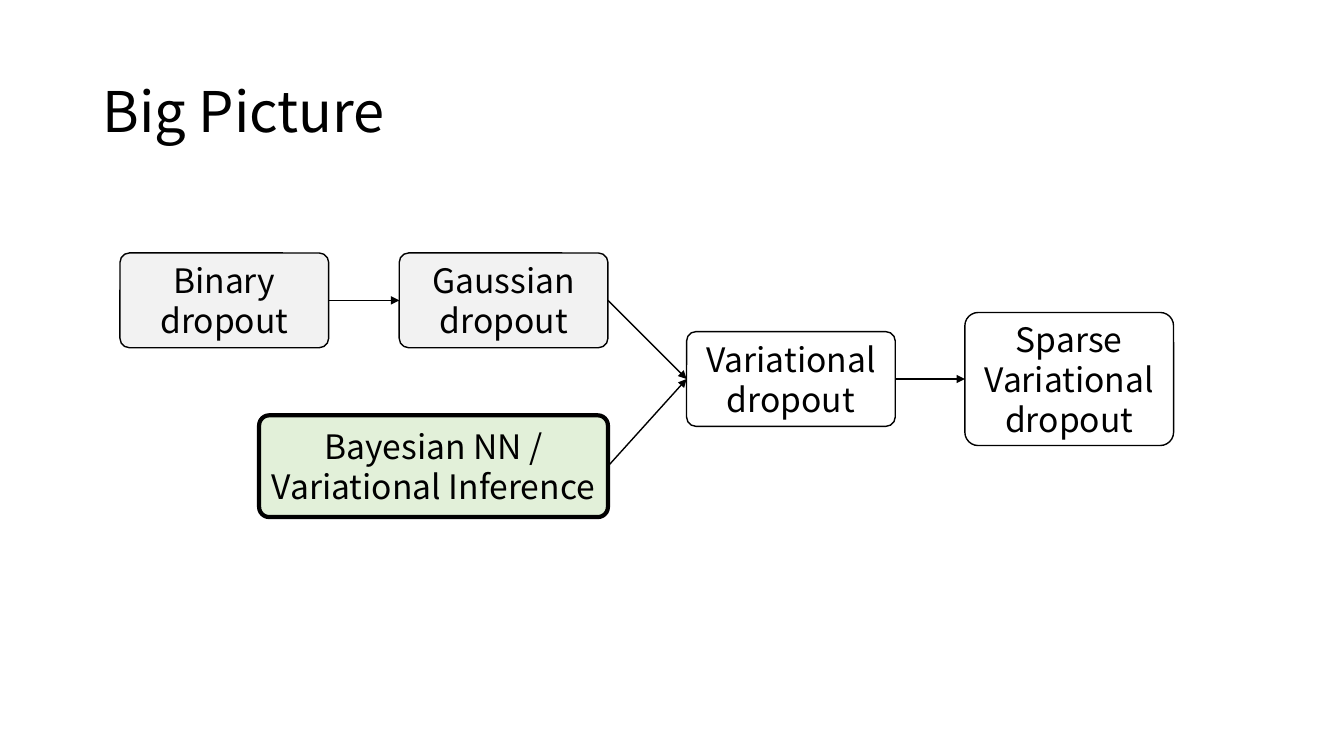
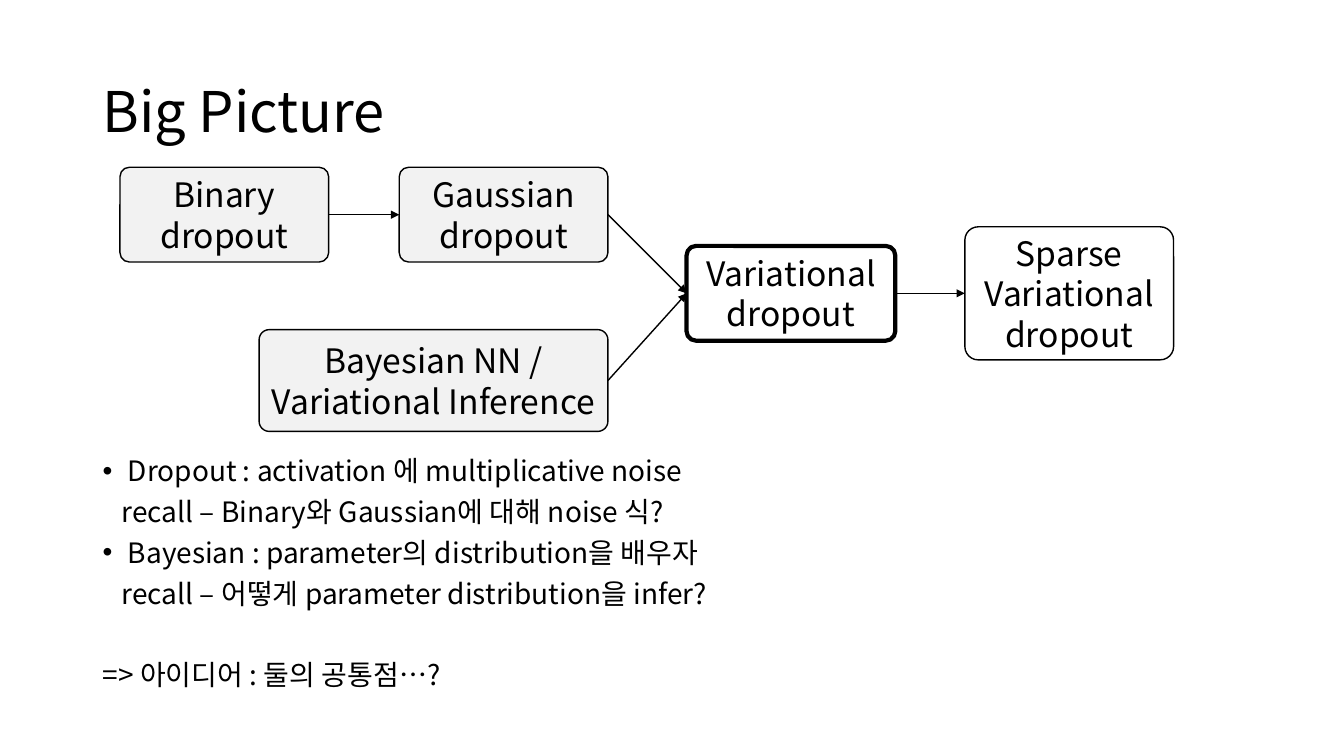
from dataclasses import dataclass

import pptx
import pptx.dml.color
import pptx.enum.shapes
import pptx.enum.text
import pptx.oxml
import pptx.oxml.ns
import pptx.presentation
import pptx.shapes.autoshape
import pptx.shapes.connector
import pptx.slide
import pptx.text.text
import pptx.util
from lxml import etree

EMU_PER_PX = 9144  # 100 px to the inch
FONT = "Noto Sans CJK KR"
BLACK, WHITE, GRAY, GREEN = "000000", "FFFFFF", "F2F2F2", "E2F0D9"
LEADING = 1.2
LEFT_SITE, RIGHT_SITE = 1, 3
ANCHOR = pptx.enum.text.MSO_ANCHOR
ALIGN = pptx.enum.text.PP_ALIGN


@dataclass(frozen=True)
class Node:
    """A box of the diagram; dy counts from the diagram's top."""
    lines: tuple[str, ...]
    x: int
    dy: int
    w: int = 207
    h: int = 94


@dataclass(frozen=True)
class Bullet:
    text: str
    indent: int = 0
    marked: bool = False
    before: int = 10


@dataclass(frozen=True)
class Page:
    top: int
    fills: dict[str, str]
    active: str
    bullets: tuple[Bullet, ...] = ()


NODES = {
    "binary": Node(("Binary", "dropout"), 119, 0),
    "gaussian": Node(("Gaussian", "dropout"), 396, 0),
    "variational": Node(("Variational", "dropout"), 681, 78),
    "bayesian": Node(("Bayesian NN /", "Variational Inference"), 257, 161, 346, 101),
    "sparse": Node(("Sparse", "Variational", "dropout"), 957, 59, h=132),
}
ARROWS = (
    ("binary", "gaussian"),
    ("gaussian", "variational"),
    ("bayesian", "variational"),
    ("variational", "sparse"),
)
PAGES = (
    Page(251, {"binary": GRAY, "gaussian": GRAY, "bayesian": GREEN}, "bayesian"),
    Page(166, {"binary": GRAY, "gaussian": GRAY, "bayesian": GRAY}, "variational", (
        Bullet("Dropout : activation 에 multiplicative noise", 25, True),
        Bullet("recall – Binary와 Gaussian에 대해 noise 식?", 19),
        Bullet("Bayesian : parameter의 distribution을 배우자", 25, True),
        Bullet("recall – 어떻게 parameter distribution을 infer?", 19),
        Bullet("=> 아이디어 : 둘의 공통점…?", before=39),
    )),
)


def px(n: int) -> pptx.util.Emu:
    return pptx.util.Emu(n * EMU_PER_PX)


def rgb(color: str) -> pptx.dml.color.RGBColor:
    return pptx.dml.color.RGBColor.from_string(color)


def add_paragraph(tf: pptx.text.text.TextFrame, text: str, size: int,
                  spacing: float = 1.0) -> pptx.text.text._Paragraph:
    """Fill the frame's empty first paragraph, or append a new one."""
    first = tf.paragraphs[0]
    p = tf.add_paragraph() if first.runs else first
    p.line_spacing = pptx.util.Pt(round(size * LEADING * spacing, 1))
    r = p.add_run()
    r.text = text
    r.font.size = pptx.util.Pt(size)
    r.font.name = FONT
    r.font.color.rgb = rgb(BLACK)
    ea = etree.SubElement(r.font._element, pptx.oxml.ns.qn("a:ea"))
    ea.set("typeface", FONT)
    return p


def add_text_frame(slide: pptx.slide.Slide, x: int, y: int, w: int, h: int,
                   anchor: ANCHOR) -> pptx.text.text.TextFrame:
    tf = slide.shapes.add_textbox(px(x), px(y), px(w), px(h)).text_frame
    tf.word_wrap = True
    tf.vertical_anchor = anchor
    return tf


def add_title(slide: pptx.slide.Slide, text: str) -> None:
    tf = add_text_frame(slide, 92, 40, 1150, 145, ANCHOR.MIDDLE)
    add_paragraph(tf, text, 40, 0.9)


def add_node(slide: pptx.slide.Slide, node: Node, top: int, fill: str | None,
             active: bool) -> pptx.shapes.autoshape.Shape:
    sp = slide.shapes.add_shape(
        pptx.enum.shapes.MSO_SHAPE.ROUNDED_RECTANGLE,
        px(node.x), px(top + node.dy), px(node.w), px(node.h))
    sp.adjustments[0] = 0.1
    sp.shadow.inherit = False
    if fill:
        sp.fill.solid()
        sp.fill.fore_color.rgb = rgb(fill)
    else:
        sp.fill.background()
    sp.line.color.rgb = rgb(BLACK)
    sp.line.width = pptx.util.Pt(3 if active else 1)
    tf = sp.text_frame
    tf.word_wrap = True
    tf.margin_left = tf.margin_right = 0
    tf.vertical_anchor = ANCHOR.MIDDLE
    for line in node.lines:
        add_paragraph(tf, line, 24).alignment = ALIGN.CENTER
    return sp


def add_arrow(slide: pptx.slide.Slide, start: pptx.shapes.autoshape.Shape,
              end: pptx.shapes.autoshape.Shape) -> pptx.shapes.connector.Connector:
    cx = slide.shapes.add_connector(
        pptx.enum.shapes.MSO_CONNECTOR.STRAIGHT, 0, 0, 0, 0)
    cx.begin_connect(start, RIGHT_SITE)
    cx.end_connect(end, LEFT_SITE)
    cx.line.color.rgb = rgb(BLACK)
    cx.line.width = pptx.util.Pt(1)
    ln = cx.line._get_or_add_ln()
    etree.SubElement(ln, pptx.oxml.ns.qn("a:tailEnd")).set("type", "triangle")
    etree.SubElement(cx._element.spPr, pptx.oxml.ns.qn("a:effectLst"))
    return cx


def add_bullets(slide: pptx.slide.Slide, bullets: tuple[Bullet, ...]) -> None:
    tf = add_text_frame(slide, 92, 452, 1239, 257, ANCHOR.TOP)
    for bullet in bullets:
        p = add_paragraph(tf, bullet.text, 20, 0.8)
        p.space_before = pptx.util.Pt(bullet.before)
        pPr = p._p.get_or_add_pPr()
        pPr.set("marL", str(px(bullet.indent)))
        if bullet.marked:
            pPr.set("indent", str(px(-bullet.indent)))
            font = etree.SubElement(pPr, pptx.oxml.ns.qn("a:buFont"))
            font.set("typeface", "Arial")
            etree.SubElement(pPr, pptx.oxml.ns.qn("a:buChar")).set("char", "•")


def add_page(prs: pptx.presentation.Presentation, page: Page) -> None:
    slide = prs.slides.add_slide(prs.slide_layouts[6])
    slide.background.fill.solid()
    slide.background.fill.fore_color.rgb = rgb(WHITE)
    add_title(slide, "Big Picture")
    boxes = {
        name: add_node(slide, node, page.top, page.fills.get(name), name == page.active)
        for name, node in NODES.items()
    }
    for start, end in ARROWS:
        add_arrow(slide, boxes[start], boxes[end])
    if page.bullets:
        add_bullets(slide, page.bullets)


def main() -> None:
    prs = pptx.Presentation()
    prs.slide_width, prs.slide_height = px(1333), px(750)
    for page in PAGES:
        add_page(prs, page)
    prs.save("out.pptx")


if __name__ == "__main__":
    main()
